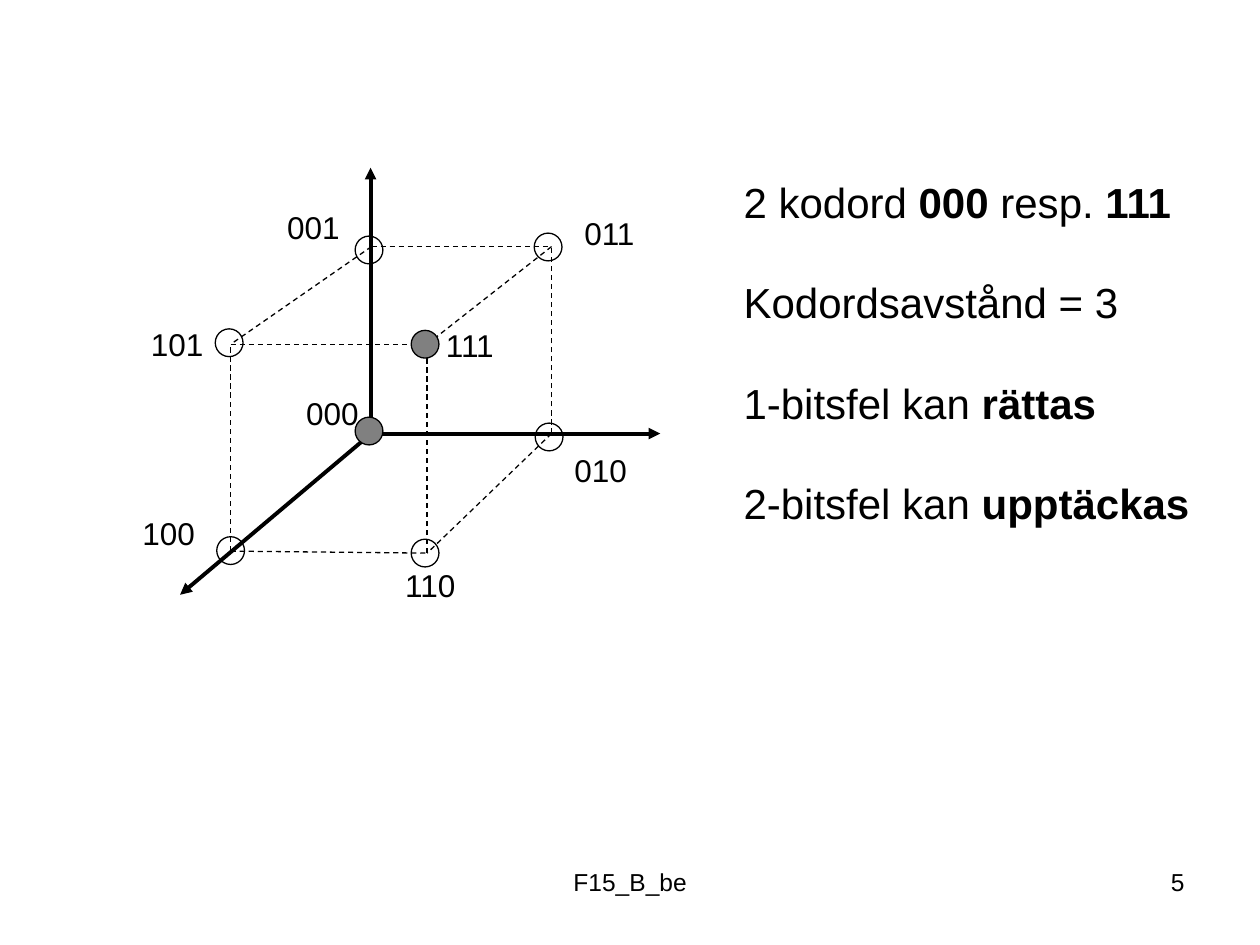
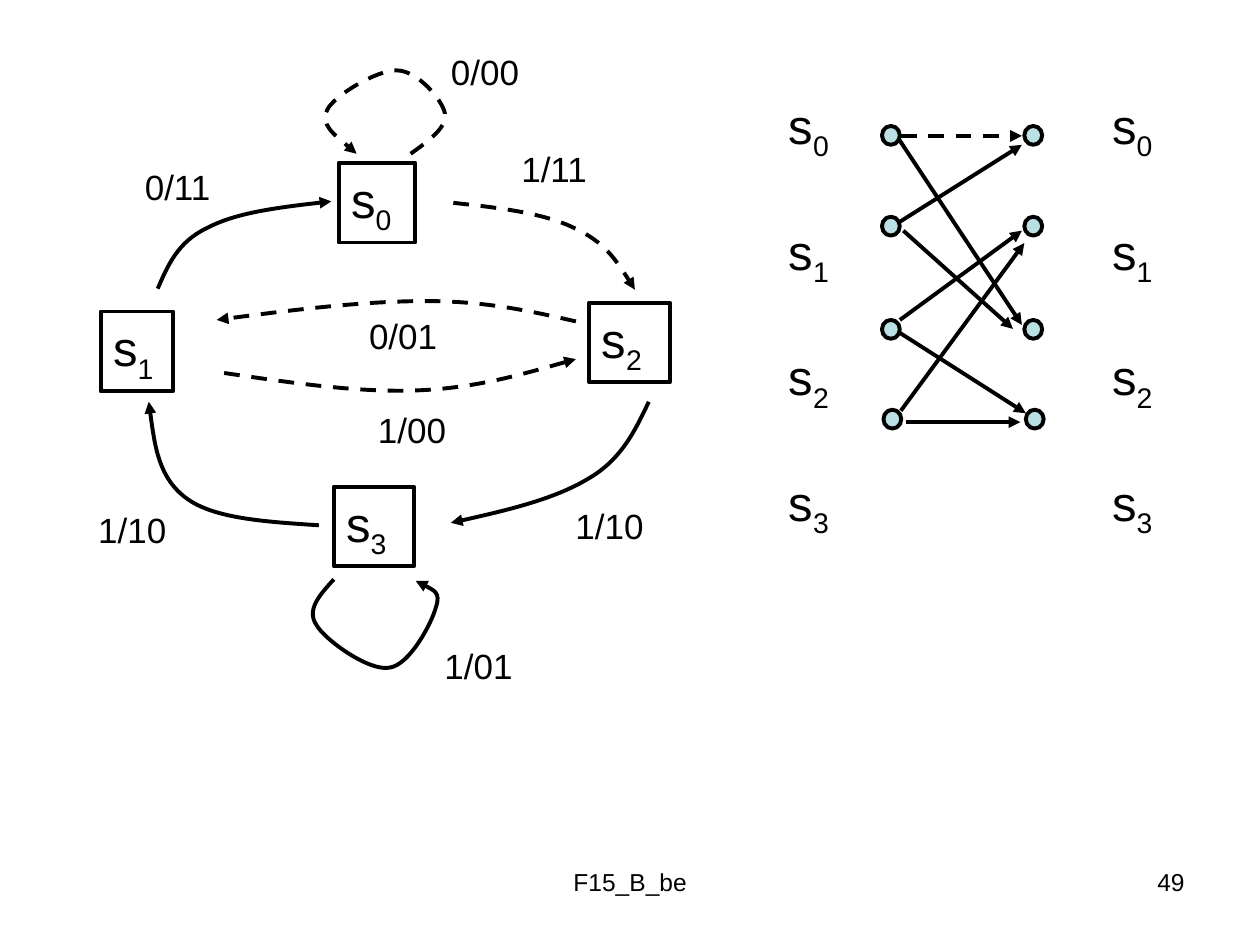
from itertools import combinations

from lxml import etree
from pptx import Presentation
from pptx.dml.color import RGBColor
from pptx.enum.dml import MSO_LINE
from pptx.enum.shapes import MSO_CONNECTOR, MSO_SHAPE
from pptx.enum.text import PP_ALIGN
from pptx.oxml.ns import qn
from pptx.util import Cm, Pt

BLACK = RGBColor(0, 0, 0)
GREY = RGBColor(0x80, 0x80, 0x80)
PALE_BLUE = RGBColor(0xBB, 0xE0, 0xE3)
FONT = "Arial"
THICK, THIN = 2.25, 0.75
BOLD, SUB = "bold", "sub"

FOOTER = "F15_B_be"

# Code word: (circle centre, edge corner, label position), in cm
CODE_WORDS = {
    "000": ((7.44, 8.69), (7.49, 8.72), (5.92, 7.82)),
    "001": ((7.44, 5.04), (7.49, 4.97), (5.54, 4.06)),
    "010": ((11.07, 8.81), (11.12, 8.74), (11.33, 8.97)),
    "011": ((11.05, 4.98), (11.12, 4.97), (11.53, 4.19)),
    "100": ((4.65, 11.1), (4.65, 11.11), (2.62, 10.24)),
    "101": ((4.62, 6.91), (4.65, 6.94), (2.79, 6.43)),
    "110": ((8.57, 11.15), (8.61, 11.15), (7.92, 11.28)),
    "111": ((8.57, 6.94), (8.61, 6.94), (8.74, 6.45)),
}
VALID_WORDS = ("000", "111")
CIRCLE = 0.56
AXES = [
    ((7.37, 8.74), (13.31, 8.74)),
    ((7.52, 8.71), (3.63, 11.99)),
    ((7.47, 8.71), (7.47, 3.38)),
]
FACTS = [
    [("2 kodord ", None), ("000", BOLD), (" resp. ", None), ("111", BOLD)],
    [("Kodordsavstånd = 3", None)],
    [("1-bitsfel kan ", None), ("rättas", BOLD)],
    [("2-bitsfel kan ", None), ("upptäckas", BOLD)],
]

STATES = [[("s", None), (str(i), SUB)] for i in range(4)]
STATE_BOXES = [
    (6.83, 3.28, 1.54, 1.61),
    (2.03, 6.28, 1.46, 1.61),
    (11.88, 6.1, 1.62, 1.61),
    (6.73, 9.81, 1.61, 1.61),
]
# (label, label position, dashed, start and Bézier points)
TRANSITIONS = [
    ("0/00", (8.84, 0.89), True,
     [(8.28, 3.1), (8.64, 2.84), (9.02, 2.57), (8.97, 2.29),
      (8.92, 2.01), (8.41, 1.42), (8, 1.42),
      (7.62, 1.4), (6.73, 1.93), (6.6, 2.21),
      (6.45, 2.51), (6.83, 2.79), (7.19, 3.1)]),
    ("1/01", (8.71, 12.87), False,
     [(6.73, 11.68), (6.45, 11.99), (6.17, 12.29), (6.38, 12.6),
      (6.55, 12.9), (7.44, 13.54), (7.85, 13.46),
      (8.26, 13.41), (8.71, 12.55), (8.79, 12.24),
      (8.89, 11.94), (8.64, 11.84), (8.38, 11.71)]),
    ("0/11", (2.67, 3.21), False,
     [(3.18, 5.82), (3.38, 5.36), (3.58, 4.88), (4.17, 4.6),
      (4.75, 4.29), (5.71, 4.17), (6.68, 4.06)]),
    ("1/11", (10.26, 2.84), True,
     [(9.14, 4.09), (10.06, 4.19), (10.95, 4.29), (11.58, 4.6),
      (12.19, 4.88), (12.5, 5.36), (12.8, 5.84)]),
    ("1/10", (11.35, 10.05), False,
     [(13.08, 8.1), (12.8, 8.69), (12.52, 9.27), (11.86, 9.65),
      (11.18, 10.06), (10.13, 10.31), (9.09, 10.54)]),
    ("1/10", (1.73, 10.12), False,
     [(6.43, 10.59), (5.38, 10.52), (4.34, 10.46), (3.78, 10.06),
      (3.2, 9.65), (3.1, 8.86), (3, 8.1)]),
    ("0/01", (7.19, 6.21), True,
     [(11.61, 6.48), (10.69, 6.27), (9.78, 6.07), (8.59, 6.07),
      (7.37, 6.07), (5.87, 6.25), (4.37, 6.45)]),
    ("1/00", (7.37, 8.11), True,
     [(4.52, 7.52), (5.89, 7.72), (7.24, 7.92), (8.43, 7.87),
      (9.6, 7.82), (10.62, 7.52), (11.61, 7.24)]),
]
TRELLIS_LABEL_X = (15.65, 22.17)
TRELLIS_DOT_X = (17.78, 20.65)
TRELLIS_DOTS = [(0, 2.54), (0, 4.37), (0, 6.45), (0.03, 8.26)]  # shift, top
BRANCHES = [  # (from, to, dashed)
    ((18.16, 2.74), (20.6, 2.74), True),
    ((18.11, 2.79), (20.6, 6.55), False),
    ((18.14, 4.47), (20.6, 2.92), False),
    ((18.21, 4.65), (20.42, 6.63), False),
    ((18.14, 6.45), (20.6, 4.65), False),
    ((18.14, 6.71), (20.68, 8.33), False),
    ((18.16, 8.28), (20.65, 4.9), False),
    ((18.26, 8.51), (20.57, 8.51), False),
]


def cms(*values):
    return [Cm(v) for v in values]


def style_line(line, width, dashed=False, arrow=False):
    line.color.rgb = BLACK
    line.width = Pt(width)
    if dashed:
        line.dash_style = MSO_LINE.DASH
    if arrow:
        etree.SubElement(line._get_or_add_ln(), qn("a:tailEnd"), type="triangle")


def add_line(slide, start, end, width=THICK, dashed=False, arrow=False):
    sp = slide.shapes.add_connector(MSO_CONNECTOR.STRAIGHT, *cms(*start, *end))
    style_line(sp.line, width, dashed, arrow)
    etree.SubElement(sp._element.spPr, qn("a:effectLst"))


def add_curve(slide, points, dashed):
    """Draw an arrow through cubic Bézier points: a start, then threes."""
    start, *rest = [cms(*point) for point in points]
    builder = slide.shapes.build_freeform(*start)
    builder.add_line_segments(rest, close=False)
    sp = builder.convert_to_shape()
    steps = sp._element.xpath(".//a:lnTo")
    for i in range(0, len(steps), 3):
        bezier = etree.Element(qn("a:cubicBezTo"))
        steps[i].addprevious(bezier)
        for step in steps[i:i + 3]:
            bezier.append(step[0])
            step.getparent().remove(step)
    sp.fill.background()
    sp.shadow.inherit = False
    style_line(sp.line, THICK, dashed, arrow=True)


def add_shape(slide, kind, box, width, fill=None):
    sp = slide.shapes.add_shape(kind, *cms(*box))
    sp.shadow.inherit = False
    if fill is None:
        sp.fill.background()
    else:
        sp.fill.solid()
        sp.fill.fore_color.rgb = fill
    style_line(sp.line, width)
    return sp


def write(tf, paragraphs, size, align=PP_ALIGN.LEFT, gap=0):
    for i, runs in enumerate(paragraphs):
        p = tf.add_paragraph() if i else tf.paragraphs[0]
        p.alignment = align
        if i:
            p.space_before = Pt(gap)
        for text, style in runs:
            r = p.add_run()
            r.text = text
            r.font.name = FONT
            r.font.size = Pt(size)
            r.font.color.rgb = BLACK
            if style == BOLD:
                r.font.bold = True
            elif style == SUB:
                r._r.get_or_add_rPr().set("baseline", "-25000")


def add_text(slide, box, paragraphs, size, align=PP_ALIGN.LEFT, gap=0):
    tf = slide.shapes.add_textbox(*cms(*box)).text_frame
    tf.word_wrap = True
    write(tf, paragraphs, size, align, gap)


def add_slide(prs, number):
    slide = prs.slides.add_slide(prs.slide_layouts[6])
    add_text(slide, (8.68, 17.35, 8.05, 1.32), [[(FOOTER, None)]], 14,
             PP_ALIGN.CENTER)
    add_text(slide, (18.21, 17.35, 5.92, 1.32), [[(str(number), None)]], 14,
             PP_ALIGN.RIGHT)
    return slide


def build_code_cube(prs):
    slide = add_slide(prs, 5)
    for start, end in AXES:
        add_line(slide, start, end, arrow=True)
    for a, b in combinations(CODE_WORDS, 2):
        distance = sum(x != y for x, y in zip(a, b))
        if distance == 1 and a != "000":
            add_line(slide, CODE_WORDS[a][1], CODE_WORDS[b][1], THIN, dashed=True)
    for word, ((x, y), _, label_at) in CODE_WORDS.items():
        box = (x - CIRCLE / 2, y - CIRCLE / 2, CIRCLE, CIRCLE)
        add_shape(slide, MSO_SHAPE.OVAL, box, THIN,
                  GREY if word in VALID_WORDS else None)
        add_text(slide, (*label_at, 1.65, 1.02), [[(word, None)]], 18)
    add_text(slide, (14.74, 3.43, 9.6, 7.37), FACTS, 24, gap=28.6)


def build_state_diagram(prs):
    slide = add_slide(prs, 49)
    for state, box in zip(STATES, STATE_BOXES):
        sp = add_shape(slide, MSO_SHAPE.RECTANGLE, box, THICK)
        tf = sp.text_frame
        tf.word_wrap = True
        write(tf, [state], 28)
    for label, label_at, dashed, points in TRANSITIONS:
        add_curve(slide, points, dashed)
        add_text(slide, (*label_at, 1.95, 1.12), [[(label, None)]], 20)

    for label_x, dot_x in zip(TRELLIS_LABEL_X, TRELLIS_DOT_X):
        add_text(slide, (label_x, 1.8, 1.4, 9.7), STATES, 28, gap=33.6)
        for shift, top in TRELLIS_DOTS:
            add_shape(slide, MSO_SHAPE.OVAL, (dot_x + shift, top, 0.36, 0.38),
                      THICK, PALE_BLUE)
    for start, end, dashed in BRANCHES:
        add_line(slide, start, end, dashed=dashed, arrow=True)


def main():
    prs = Presentation()
    prs.slide_width, prs.slide_height = cms(25.4, 19.05)
    build_code_cube(prs)
    build_state_diagram(prs)
    prs.save("out.pptx")


if __name__ == "__main__":
    main()
